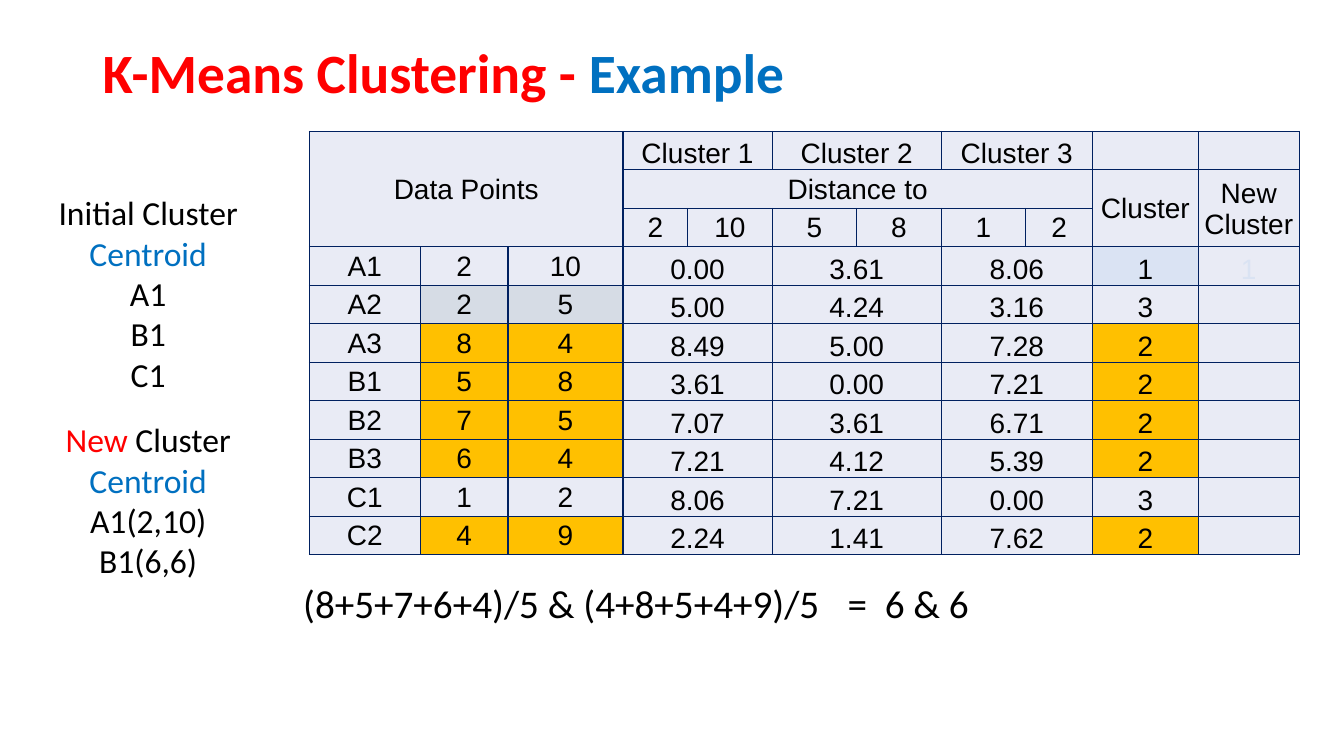
from dataclasses import dataclass
from math import dist

from lxml.etree import SubElement
from pptx import Presentation
from pptx.dml.color import RGBColor
from pptx.enum.text import MSO_ANCHOR, MSO_AUTO_SIZE, PP_ALIGN
from pptx.oxml.ns import qn
from pptx.util import Cm, Pt


@dataclass(frozen=True)
class Theme:
    black: str = "000000"
    red: str = "FF0000"
    blue: str = "0070C0"
    navy: str = "002060"
    pale: str = "E9EBF5"
    grey: str = "D6DCE5"
    sky: str = "DAE3F3"
    gold: str = "FFC000"
    body: str = "Calibri"
    grid: str = "Arial"
    title: float = 39.6
    sum: float = 28
    side: float = 24
    cell: float = 20


THEME = Theme()
CENTERS = [(2, 10), (5, 8), (1, 2)]
POINTS = {
    "A1": (2, 10), "A2": (2, 5), "A3": (8, 4), "B1": (5, 8),
    "B2": (7, 5), "B3": (6, 4), "C1": (1, 2), "C2": (4, 9),
}
WIDTHS = [2.79, 2.21, 2.9, 1.63, 2.13, 2.13, 2.13, 2.13, 1.68, 2.67, 2.54]
ROW = 0.97


def write(frame, paras, size, font=THEME.body, align=PP_ALIGN.CENTER, space=None):
    """Fill a frame; each paragraph is a string or a list of (text, colour)."""
    for i, runs in enumerate(paras):
        para = frame.paragraphs[0] if i == 0 else frame.add_paragraph()
        para.alignment = align
        para.line_spacing = space
        if isinstance(runs, str):
            runs = [(runs, THEME.black)]
        for text, color in runs:
            run = para.add_run()
            run.text = text
            run.font.size = Pt(size)
            run.font.name = font
            run.font.color.rgb = RGBColor.from_string(color)


def add_title(slide, x, y, w, h):
    title = slide.shapes.title
    title.left, title.top, title.width, title.height = Cm(x), Cm(y), Cm(w), Cm(h)
    frame = title.text_frame
    frame.vertical_anchor = MSO_ANCHOR.MIDDLE
    runs = [("K-Means Clustering - ", THEME.red), ("Example", THEME.blue)]
    write(frame, [runs], THEME.title, align=PP_ALIGN.LEFT, space=0.9)
    frame.paragraphs[0].font.bold = True
    for run in frame.paragraphs[0].runs:
        run.font.bold = True


def add_note(slide, x, y, w, h, paras, size, wrap=True, **form):
    box = slide.shapes.add_textbox(Cm(x), Cm(y), Cm(w), Cm(h))
    box.text_frame.word_wrap = wrap
    box.text_frame.auto_size = MSO_AUTO_SIZE.SHAPE_TO_FIT_TEXT
    write(box.text_frame, paras, size, **form)


def style(cell):
    """Give a cell its borders, margins and base fill."""
    props = cell._tc.get_or_add_tcPr()
    for side in ("a:lnL", "a:lnR", "a:lnT", "a:lnB"):
        line = SubElement(props, qn(side), w=str(Pt(1)))
        fill = SubElement(line, qn("a:solidFill"))
        SubElement(fill, qn("a:srgbClr"), val=THEME.navy)
    cell.margin_left = cell.margin_right = cell.margin_top = Cm(0.03)
    cell.margin_bottom = 0
    paint(cell, THEME.pale)


def paint(cell, color):
    cell.fill.solid()
    cell.fill.fore_color.rgb = RGBColor.from_string(color)


def add_grid(slide, x, y):
    rows, cols = 3 + len(POINTS), len(WIDTHS)
    frame = slide.shapes.add_table(
        rows, cols, Cm(x), Cm(y), Cm(sum(WIDTHS)), Cm(ROW * rows))
    table = frame.table
    for col, width in zip(table.columns, WIDTHS):
        col.width = Cm(width)
    for row in table.rows:
        row.height = Cm(ROW)
    for cell in table.iter_cells():
        style(cell)

    def put(r, c, text, down=1, over=1, low=False, fill=THEME.pale, color=THEME.black):
        cell = table.cell(r, c)
        if down * over > 1:
            cell.merge(table.cell(r + down - 1, c + over - 1))
        cell.vertical_anchor = MSO_ANCHOR.BOTTOM if low else MSO_ANCHOR.MIDDLE
        paint(cell, fill)
        write(cell.text_frame, [[(text, color)]], THEME.cell, font=THEME.grid)

    put(0, 0, "Data Points", down=3, over=3)
    put(1, 3, "Distance to", over=6)
    put(1, 9, "Cluster", down=2)
    put(1, 10, "New Cluster", down=2)
    for i, center in enumerate(CENTERS):
        put(0, 3 + 2 * i, f"Cluster {i + 1}", over=2, low=True)
        for j, value in enumerate(center):
            put(2, 3 + 2 * i + j, str(value))

    for r, (name, point) in enumerate(POINTS.items(), 3):
        gaps = [dist(point, center) for center in CENTERS]
        group = gaps.index(min(gaps)) + 1
        base = THEME.gold if group == 2 else THEME.pale
        put(r, 0, name)
        for c, value in enumerate(point, 1):
            put(r, c, str(value), fill=THEME.grey if name == "A2" else base)
        for i, gap in enumerate(gaps):
            put(r, 3 + 2 * i, f"{gap:.2f}", over=2, low=True)
        put(r, 9, str(group), low=True, fill=THEME.sky if name == "A1" else base)
    put(3, 10, "1", low=True, color=THEME.sky)


def add_side(slide, x, y, w):
    """Stack the initial and the new centroids."""
    first = [("Initial Cluster ", THEME.black), ("Centroid", THEME.blue)]
    new = [("New", THEME.red), (" Cluster ", THEME.black), ("Centroid", THEME.blue)]
    add_note(slide, x, y, w, 5.4, [first, "A1", "B1", "C1"], THEME.side)
    add_note(slide, x, y + 5.72, w, 4.4, [new, "A1(2,10)", "B1(6,6)"], THEME.side)


def add_sum(slide, x, y):
    form = dict(size=THEME.sum, wrap=False, align=PP_ALIGN.LEFT)
    add_note(slide, x, y, 13.72, 1.45, ["(8+5+7+6+4)/5 & (4+8+5+4+9)/5"], **form)
    add_note(slide, x + 13.72, y, 3.6, 1.45, ["=  6 & 6"], **form)


def main():
    deck = Presentation()
    deck.slide_width, deck.slide_height = Cm(33.87), Cm(19.05)
    slide = deck.slides.add_slide(deck.slide_layouts[5])
    add_title(slide, 2.33, 1.02, 29.21, 1.78)
    add_grid(slide, 7.8, 3.31)
    add_side(slide, 1.17, 4.72, 5.13)
    add_sum(slide, 7.39, 14.48)
    deck.save("out.pptx")


if __name__ == "__main__":
    main()
